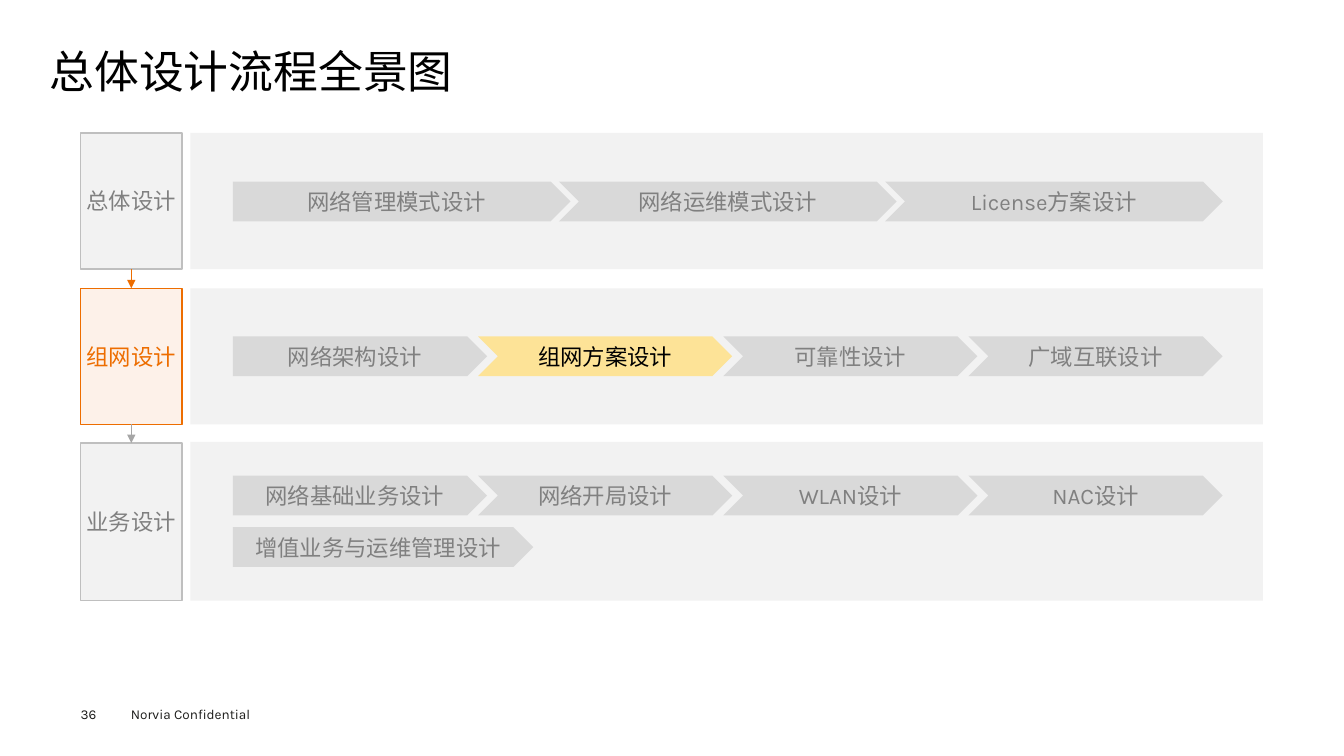
"""Builds the overall design process overview slide."""
from pptx import Presentation
from pptx.dml.color import RGBColor
from pptx.enum.shapes import MSO_CONNECTOR, MSO_SHAPE
from pptx.enum.text import MSO_ANCHOR, PP_ALIGN
from pptx.oxml.ns import qn
from pptx.util import Pt
from lxml import etree

RECT, PLATE, CHEVRON = MSO_SHAPE.RECTANGLE, MSO_SHAPE.PENTAGON, MSO_SHAPE.CHEVRON
STRAIGHT = MSO_CONNECTOR.STRAIGHT
TOP, MIDDLE = MSO_ANCHOR.TOP, MSO_ANCHOR.MIDDLE
LEFT, CENTER = PP_ALIGN.LEFT, PP_ALIGN.CENTER

BLACK = RGBColor(0x00, 0x00, 0x00)
INK = RGBColor(0x1D, 0x1D, 0x1B)
GRAY = RGBColor(0x80, 0x80, 0x80)
PALE = RGBColor(0xF2, 0xF2, 0xF2)
SILVER = RGBColor(0xD9, 0xD9, 0xD9)
EDGE = RGBColor(0xBF, 0xBF, 0xBF)
STEEL = RGBColor(0xA6, 0xA6, 0xA6)
ORANGE = RGBColor(0xED, 0x6D, 0x00)
PEACH = RGBColor(0xFD, 0xF1, 0xE9)
YELLOW = RGBColor(0xFD, 0xE3, 0x97)

ROW_LEFT, ROW_RIGHT, STEP_H = 166.3, 873.4, 28.4

STAGES = [
    ("总体设计", 95, 97.2, PALE, EDGE, GRAY),
    ("组网设计", 205.9, 97.2, PEACH, ORANGE, ORANGE),
    ("业务设计", 316.5, 112.5, PALE, EDGE, GRAY),
]
PANELS = [(95, 97.2), (205.9, 97.2), (315.7, 113.3)]
ROWS = [
    (129.7, 241.2, ["网络管理模式设计", "网络运维模式设计", "License方案设计"]),
    (240.3, 181.6, ["网络架构设计", "组网方案设计", "可靠性设计", "广域互联设计"]),
    (339.8, 181.6, ["网络基础业务设计", "网络开局设计", "WLAN设计", "NAC设计"]),
    (376.6, 214.6, ["增值业务与运维管理设计"]),
]
ACTIVE = "组网方案设计"


def write(shape, text, size, color, align, anchor, inset=True):
    frame = shape.text_frame
    frame.word_wrap = True
    frame.vertical_anchor = anchor
    if not inset:
        frame.margin_left = frame.margin_right = 0
        frame.margin_top = frame.margin_bottom = 0
    para = frame.paragraphs[0]
    para.alignment = align
    run = para.add_run()
    run.text = text
    run.font.name = "Karla"
    run.font.size = Pt(size)
    run.font.color.rgb = color
    return para


def block(kind, left, top, width, height, fill, edge=None):
    shape = slide.shapes.add_shape(kind, Pt(left), Pt(top), Pt(width), Pt(height))
    shape.shadow.inherit = False
    shape.fill.solid()
    shape.fill.fore_color.rgb = fill
    if edge is None:
        shape.line.fill.background()
    else:
        shape.line.color.rgb = edge
        shape.line.width = Pt(1)
    return shape


deck = Presentation()
deck.slide_width, deck.slide_height = Pt(960), Pt(540)
slide = deck.slides.add_slide(deck.slide_layouts[5])

title = slide.shapes.title
title.left, title.top, title.width, title.height = Pt(35.3), Pt(35.3), Pt(889), Pt(39)
write(title, "总体设计流程全景图", 32, BLACK, LEFT, TOP, False).line_spacing = 0.9

note = slide.shapes.add_textbox(Pt(86.4), Pt(500.4), Pt(115), Pt(19.4))
write(note, "Norvia Confidential", 9.7, INK, LEFT, TOP)
page = slide.shapes.add_textbox(Pt(57.6), Pt(504), Pt(39.6), Pt(11.5))
write(page, "36", 9.7, INK, LEFT, TOP, False)

boxes = []
for text, top, height, fill, edge, color in STAGES:
    box = block(RECT, 57.6, top, 72.4, height, fill, edge)
    write(box, text, 16, color, CENTER, MIDDLE, False)
    boxes.append(box)

for upper, lower, color in zip(boxes, boxes[1:], (ORANGE, STEEL)):
    link = slide.shapes.add_connector(STRAIGHT, 0, 0, 0, 0)
    link.begin_connect(upper, 2)
    link.end_connect(lower, 0)
    link.line.color.rgb = color
    link.line.width = Pt(0.5)
    etree.SubElement(link.line._get_or_add_ln(), qn("a:tailEnd"), type="triangle")
    etree.SubElement(link._element.spPr, qn("a:effectLst"))

for top, height in PANELS:
    block(RECT, 136.1, top, 766.1, height, PALE)

for top, width, steps in ROWS:
    pitch = (ROW_RIGHT - ROW_LEFT - width) / max(len(steps) - 1, 1)
    for i, text in enumerate(steps):
        kind = CHEVRON if i else PLATE
        fill, color = (YELLOW, BLACK) if text == ACTIVE else (SILVER, GRAY)
        step = block(kind, ROW_LEFT + i * pitch, top, width, STEP_H, fill)
        write(step, text, 16, color, CENTER, MIDDLE)

deck.save("out.pptx")
